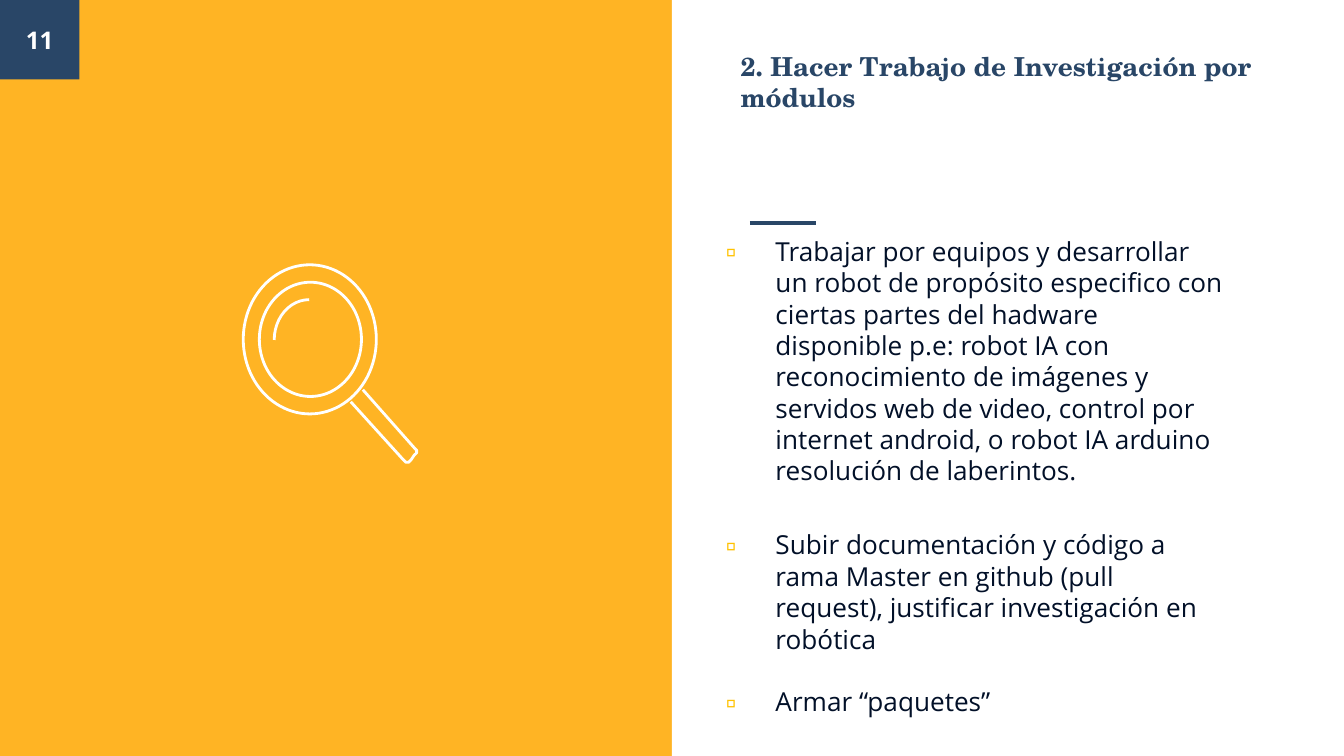
from lxml import etree
from pptx import Presentation, util as u
from pptx.dml import color
from pptx.enum import shapes, text
from pptx.oxml import ns

In = u.Inches
WIDE = 10
HIGH = WIDE * 9 / 16
NAVY, GOLD, WHITE, INK = "294667", "FFA800", "FFFFFF", "021028"
TITLE = "2. Hacer Trabajo de Investigación por módulos"
ITEMS = [
    ("Trabajar por equipos y desarrollar un robot de propósito especifico con "
     "ciertas partes del hadware disponible p.e: robot IA con reconocimiento de "
     "imágenes y servidos web de video, control por internet android, o robot IA "
     "arduino resolución de laberintos.", 0),
    ("Subir documentación y código a rama Master en github (pull request), "
     "justificar investigación en robótica", 22.8),
    ("Armar “paquetes”", 16.8),
]


def rgb(code):
    """Turn a hex string into a colour."""
    return color.RGBColor.from_string(code)


def assign(thing, vals):
    """Set each named value on a thing."""
    for name, val in vals.items():
        setattr(thing, name, val)


def child(node, tag, **attrs):
    """Add a drawing element under a node."""
    return etree.SubElement(node, ns.qn("a:" + tag), attrs)


def paint(shape, fill=None, line=None, width=1.5):
    """Give a shape its fill and outline, without a shadow."""
    shape.shadow.inherit = False
    if fill:
        shape.fill.solid()
        shape.fill.fore_color.rgb = rgb(fill)
    else:
        shape.fill.background()
    if line:
        shape.line.color.rgb = rgb(line)
        shape.line.width = u.Pt(width)
    else:
        shape.line.fill.background()
    return shape


def add(slide, kind, box):
    """Add a preset shape in a box given in inches."""
    return slide.shapes.add_shape(kind, *map(In, box))


def frame(shape, anchor):
    """Set up the text frame of a shape."""
    sides = ("left", "top", "right", "bottom")
    vals = {"margin_" + side: In(0.1) for side in sides}
    vals |= {"word_wrap": True, "auto_size": text.MSO_AUTO_SIZE.NONE,
             "vertical_anchor": anchor}
    assign(shape.text_frame, vals)
    return shape.text_frame


def write(para, words, size, face, ink, bold=False):
    """Write one styled run."""
    run = para.add_run()
    run.text = words
    assign(run.font, {"size": u.Pt(size), "name": face, "bold": bold})
    run.font.color.rgb = rgb(ink)


def place(shape, box):
    """Move a placeholder to a box and bring it to the front."""
    assign(shape, dict(zip(("left", "top", "width", "height"), map(In, box))))
    shape.element.getparent().append(shape.element)


def panels(slide, box):
    """Split the box into a gold half and a white half."""
    x, y, w, h = box
    for col, fill in enumerate((GOLD, WHITE)):
        half = add(slide, shapes.MSO_SHAPE.RECTANGLE,
                   (x + col * w / 2, y, w / 2, h))
        paint(half, fill)
        if fill == GOLD:
            tint = half.element.spPr.find(".//" + ns.qn("a:srgbClr"))
            child(tint, "alpha", val="86000")


def badge(slide, box):
    """Draw the slide number in its square."""
    tile = paint(add(slide, shapes.MSO_SHAPE.RECTANGLE, box), NAVY)
    para = frame(tile, text.MSO_ANCHOR.MIDDLE).paragraphs[0]
    para.alignment = text.PP_ALIGN.CENTER
    write(para, "11", 13, "Open Sans", WHITE, True)


def rule(slide, box):
    """Draw the short line along the top of the box."""
    x, y, w, h = box
    line = slide.shapes.add_connector(
        shapes.MSO_CONNECTOR.STRAIGHT, In(x), In(y), In(x + w), In(y + h))
    line.line.color.rgb = rgb(NAVY)
    line.line.width = u.Pt(2.25)
    child(line.element.spPr, "effectLst")


def heading(slide, box):
    """Fill the title."""
    title = slide.shapes.title
    place(title, box)
    para = frame(title, text.MSO_ANCHOR.BOTTOM).paragraphs[0]
    para.alignment = text.PP_ALIGN.LEFT
    write(para, TITLE, 14, "TeX Gyre Schola", NAVY, True)


def listing(slide, box):
    """Fill the body with the bulleted items."""
    body = slide.placeholders[1]
    place(body, box)
    area = frame(body, text.MSO_ANCHOR.TOP)
    for num, (words, gap) in enumerate(ITEMS):
        para = area.add_paragraph() if num else area.paragraphs[0]
        props = para._p.get_or_add_pPr()
        for name, val in {"marL": 0.5, "indent": -0.37}.items():
            props.set(name, str(In(val)))
        child(child(props, "buClr"), "srgbClr", val="FFC200")
        child(props, "buFont", typeface="Open Sans")
        child(props, "buChar", char="▫")
        assign(para, {"space_before": u.Pt(gap), "line_spacing": 1.0,
                      "alignment": text.PP_ALIGN.LEFT})
        write(para, words, 14, "Open Sans", INK)


def lens(slide, box):
    """Draw the magnifying glass from the box's top left corner."""
    x, y, w, h = box
    kinds = shapes.MSO_SHAPE
    paint(add(slide, kinds.OVAL, (x, y, 0.99, 1.11)), line=WHITE)
    paint(add(slide, kinds.OVAL, (x + 0.12, y + 0.13, 0.76, 0.85)), line=WHITE)
    glint = add(slide, kinds.ARC, (x + 0.23, y + 0.26, 0.52, 0.6))
    glint.adjustments[0], glint.adjustments[1] = 108, 162
    paint(glint, line=WHITE)
    right, base = x + w, y + h
    ends = [(-0.49, -0.45), (-0.1, -0.02), (-0.08, 0), (-0.06, 0),
            (-0.04, -0.02), (-0.02, -0.05), (0, -0.07), (0, -0.09),
            (-0.02, -0.11), (-0.4, -0.54)]
    spots = [(In(right + dx), In(base + dy)) for dx, dy in ends]
    path = slide.shapes.build_freeform(*spots[0])
    path.add_line_segments(spots[1:], close=False)
    paint(path.convert_to_shape(), line=WHITE)


def main():
    """Build the slide and save it."""
    deck = Presentation()
    assign(deck, {"slide_width": In(WIDE), "slide_height": In(HIGH)})
    slide = deck.slides.add_slide(deck.slide_layouts[1])
    panels(slide, (0, 0, WIDE, HIGH))
    rule(slide, (5.58, 1.66, 0.49, 0))
    badge(slide, (0, 0, 0.59, 0.59))
    heading(slide, (5.41, 0.1, 4.04, 0.84))
    listing(slide, (5.17, 1.65, 4.04, 3.65))
    lens(slide, (1.81, 1.97, 1.29, 1.47))
    deck.save("out.pptx")


if __name__ == "__main__":
    main()
